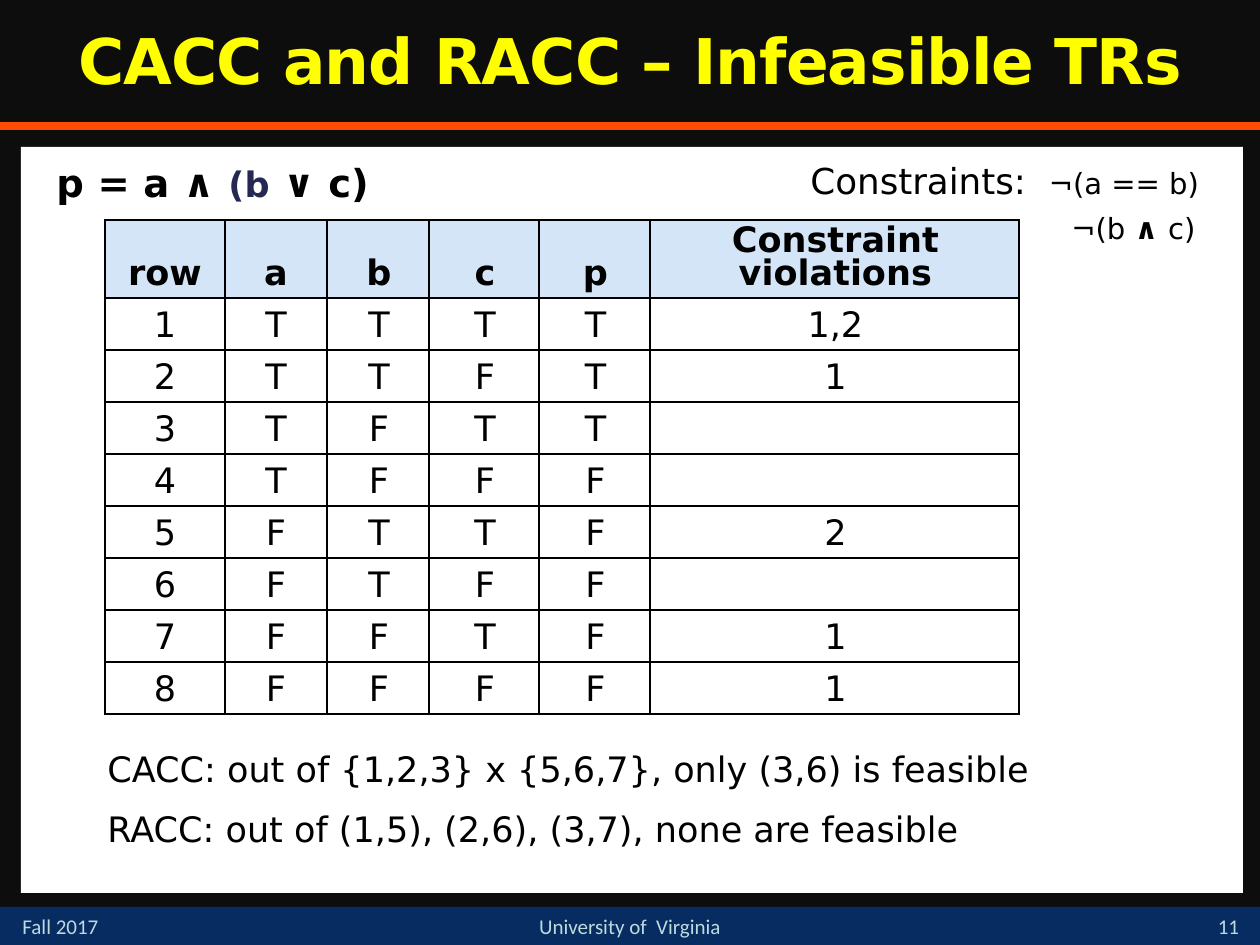
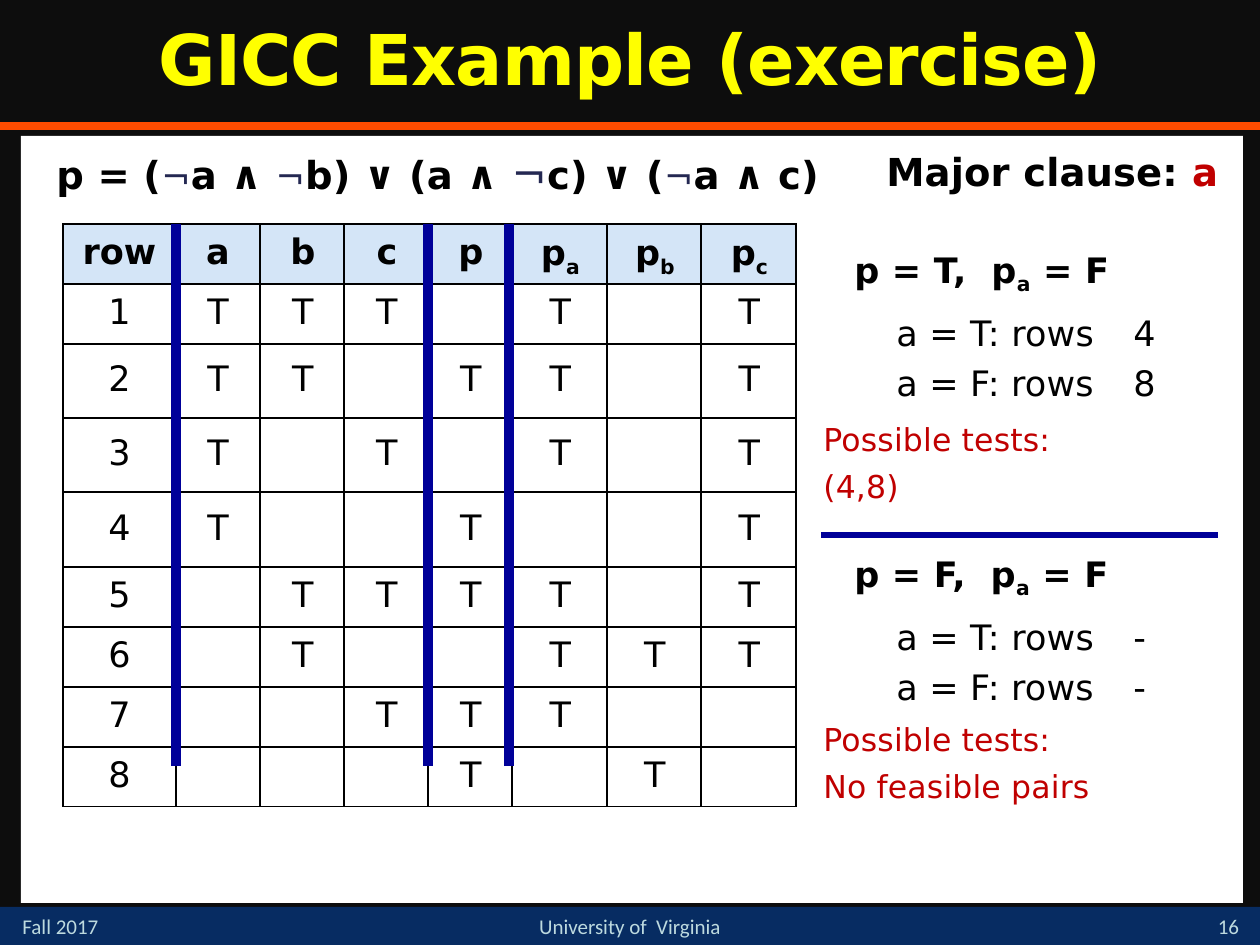
"""Build two logic-coverage slides with truth tables and test requirements."""
from itertools import accumulate
from lxml import etree
from pptx import Presentation
from pptx import util as u
from pptx.dml.color import RGBColor
from pptx.enum import shapes, text
from pptx.oxml.ns import qn

SCALE = 914400 / 126
WIDTH, HEIGHT = 1260, 945
BLACK, WHITE, BACKDROP = "000000", "FFFFFF", "0D0D0D"
YELLOW, ORANGE, NAVY, PALE = "FFFF00", "FF4C00", "072C62", "BDDADF"
HEADER, BLUE, INK, RED = "D4E5F7", "000099", "242852", "C00000"
LEFT, CENTER = text.PP_ALIGN.LEFT, text.PP_ALIGN.CENTER
TOP, MIDDLE, BOTTOM = (text.MSO_ANCHOR.TOP, text.MSO_ANCHOR.MIDDLE,
                       text.MSO_ANCHOR.BOTTOM)


def px(length):
    return u.Emu(round(length * SCALE))


def color(code):
    return RGBColor.from_string(code)


class Lecture:
    def __init__(self):
        self.deck = Presentation()
        self.deck.slide_width, self.deck.slide_height = px(WIDTH), px(HEIGHT)
        backdrop = self.deck.slide_master.background.fill
        backdrop.solid()
        backdrop.fore_color.rgb = color(BACKDROP)
        self.page = None

    def add_page(self, title, number, panel, title_top, title_size, title_lines):
        self.page = self.deck.slides.add_slide(self.deck.slide_layouts[5])
        self.rect(0, 907, WIDTH, 38, NAVY)
        self.line(0, 126, WIDTH, 126, ORANGE, 4.5)
        footer = dict(size=12, font="Calibri", ink=PALE)
        self.box(10, 907, 148, 38, ["Fall 2017"], **footer)
        self.box(1197, 903, 63, 42, [number], anchor=BOTTOM, align=CENTER, **footer)
        self.box(462, 907, 336, 38, ["University of  Virginia"], align=CENTER, **footer)
        self.rect(*panel, WHITE)
        heading = self.page.shapes.title
        heading.left, heading.top = px(0), px(title_top)
        heading.width, heading.height = px(WIDTH), px(126)
        self.frame(heading.text_frame, [title], MIDDLE, align=CENTER, lines=title_lines,
                   size=title_size, ink=YELLOW, bold=True, spacing=-50)

    def rect(self, left, top, width, height, fill):
        shape = self.page.shapes.add_shape(
            shapes.MSO_SHAPE.RECTANGLE, px(left), px(top), px(width), px(height))
        shape.shadow.inherit = False
        shape.fill.solid()
        shape.fill.fore_color.rgb = color(fill)
        shape.line.fill.background()

    def line(self, x1, y1, x2, y2, ink, weight):
        rule = self.page.shapes.add_connector(
            shapes.MSO_CONNECTOR.STRAIGHT, px(x1), px(y1), px(x2), px(y2))
        rule.line.color.rgb = color(ink)
        rule.line.width = u.Pt(weight)
        etree.SubElement(rule._element.spPr, qn("a:effectLst"))

    def box(self, left, top, width, height, lines_of_text, anchor=TOP, **style):
        shape = self.page.shapes.add_textbox(px(left), px(top), px(width), px(height))
        return self.frame(shape.text_frame, lines_of_text, anchor, **style)

    def frame(self, frame, lines_of_text, anchor, **style):
        frame.word_wrap = True
        frame.auto_size = text.MSO_AUTO_SIZE.NONE
        frame.vertical_anchor = anchor
        for index, spans in enumerate(lines_of_text):
            para = frame.add_paragraph() if index else frame.paragraphs[0]
            self.compose(para, spans, **style)
        return frame

    def compose(self, para, spans, align=LEFT, indent=0, lines=1.0, before=0, after=0,
                **style):
        para.alignment, para.line_spacing = align, lines
        para.space_before, para.space_after = u.Pt(before), u.Pt(after)
        layout = para._p.get_or_add_pPr()
        layout.set("marL", str(px(indent)))
        layout.set("indent", "0")
        for span in [spans] if isinstance(spans, str) else spans:
            words, changes = (span, {}) if isinstance(span, str) else span
            self.span(para, words, **{**style, **changes})

    def span(self, para, words, size=20, ink=BLACK, bold=False, font="DejaVu Sans",
             spacing=0, baseline=0):
        span = para.add_run()
        span.text = words
        span.font.name, span.font.size, span.font.bold = font, u.Pt(size), bold
        span.font.color.rgb = color(ink)
        details = span._r.get_or_add_rPr()
        if spacing:
            details.set("spc", str(spacing))
        if baseline:
            details.set("baseline", str(baseline))

    def table(self, left, top, widths, heights, rows, anchor, lines):
        graphic = self.page.shapes.add_table(
            len(heights), len(widths), px(left), px(top), px(sum(widths)), px(sum(heights)))
        grid = graphic.table
        grid.first_row = grid.horz_banding = False
        for column, width in zip(grid.columns, widths):
            column.width = px(width)
        for row, height in zip(grid.rows, heights):
            row.height = px(height)
        for r, row in enumerate(rows):
            for c, spans in enumerate(row):
                cell = grid.cell(r, c)
                self.borders(cell)
                cell.fill.solid()
                cell.fill.fore_color.rgb = color(WHITE if r else HEADER)
                cell.vertical_anchor = anchor
                if spans:
                    self.compose(cell.text_frame.paragraphs[0], spans, align=CENTER,
                                 indent=2 if c > 1 else 0, lines=lines, bold=r == 0)

    def borders(self, cell):
        details = cell._tc.get_or_add_tcPr()
        for side in ("lnL", "lnR", "lnT", "lnB"):
            edge = etree.SubElement(details, qn(f"a:{side}"), w=str(u.Pt(1)))
            fill = etree.SubElement(edge, qn("a:solidFill"))
            etree.SubElement(fill, qn("a:srgbClr"), val=BLACK)

    def predicate(self, left, top, width, spans):
        self.box(left, top, width, 94, [spans], indent=2, lines=0.9,
                 size=22, bold=True, spacing=10)


def subscript(letter):
    return letter, dict(baseline=-25000)


def build_infeasible(lecture):
    lecture.add_page("CACC and RACC – Infeasible TRs", "11", (21, 147, 1222, 746), 5, 36, 0.75)
    values = ["TTTT", "TTFT", "TFTT", "TFFF", "FTTF", "FTFF", "FFTF", "FFFF"]
    violations = ["1,2", "1", "", "", "2", "", "1", "1"]
    rows = [["row", "a", "b", "c", "p", "Constraint violations"]]
    rows += [[str(n), *truth, broken]
             for n, (truth, broken) in enumerate(zip(values, violations), 1)]
    lecture.table(105, 220, [120, 102, 102, 110, 111, 369], [78] + [52] * 8, rows, BOTTOM, 0.8)
    lecture.box(63, 746, 1166, 126,
                ["CACC: out of {1,2,3} x {5,6,7}, only (3,6) is feasible",
                 "RACC: out of (1,5), (2,6), (3,7), none are feasible"],
                indent=32, lines=0.9, before=10, after=3)
    constraints = lecture.box(798, 158, 447, 94,
                              [[("Constraints:  ", dict(size=20.4)), "¬(a == b)"]],
                              anchor=MIDDLE, lines=0.85, before=10, after=3, size=16.6)
    lecture.compose(constraints.add_paragraph(), ["¬(b ", ("∧ ", dict(bold=True)), "c)"],
                    indent=261, lines=0.85, before=5, after=3, size=16.6)
    lecture.predicate(42, 158, 852, ["p = a ∧ ", ("(b", dict(size=20, ink=INK)), " ∨ c)"])


def case(lecture, top, outcome, true_rows, false_rows, tests, tests_top):
    style = dict(indent=2, spacing=10)
    lecture.box(840, top, 368, 88, [[f"p = {outcome},  p", subscript("a"), " = F"]],
                bold=True, **style)
    lecture.box(882, top + 63, 252, 110, ["a = T: rows", "a = F: rows"], before=5, **style)
    lecture.box(1119, top + 63, 120, 110, [true_rows, false_rows], before=5, **style)
    lecture.box(809, tests_top, 422, 110, ["Possible tests:", tests],
                before=5, size=18, ink=RED, **style)


def build_exercise(lecture):
    lecture.add_page("GICC Example (exercise)", "16", (21, 136, 1222, 767), 0, 40, 0.9)
    header = ["row", "a", "b", "c", "p"] + [["p", subscript(clause)] for clause in "abc"]
    true_marks = ["abcxz", "abpxz", "acxz", "apz", "bcpxz", "bxyz", "cpx", "py"]
    rows = [header] + [[str(n)] + ["T" if column in marks else "" for column in "abcpxyz"]
                       for n, marks in enumerate(true_marks, 1)]
    widths = [113, 84, 84, 84, 84, 95, 94, 95]
    heights = [60, 60, 74, 74, 75, 60, 60, 60, 60]
    lecture.table(63, 224, widths, heights, rows, MIDDLE, 0.9)
    negation = "¬", dict(size=20, ink=INK, bold=False)
    large_negation = "¬", dict(size=24, ink=INK, bold=False)
    lecture.predicate(42, 147, 852, ["p = (", negation, "a ∧ ", negation, "b) ∨ (a ∧ ",
                                     large_negation, "c) ∨ (", negation, "a ∧ c)"])
    lecture.predicate(872, 147, 378, ["Major clause: ", ("a", dict(ink=RED))])
    edges = list(accumulate(widths, initial=63))
    for edge, nudge in ((1, 0), (4, 0), (5, -3)):
        x = edges[edge] + nudge
        lecture.line(x, 224, x, 766, BLUE, 6)
    lecture.line(821, 535, 1218, 535, BLUE, 3)
    case(lecture, 242, "T", "4", "8", "(4,8)", 414)
    case(lecture, 546, "F", "-", "-", "No feasible pairs", 714)


def main():
    lecture = Lecture()
    build_infeasible(lecture)
    build_exercise(lecture)
    lecture.deck.save("out.pptx")


if __name__ == "__main__":
    main()
